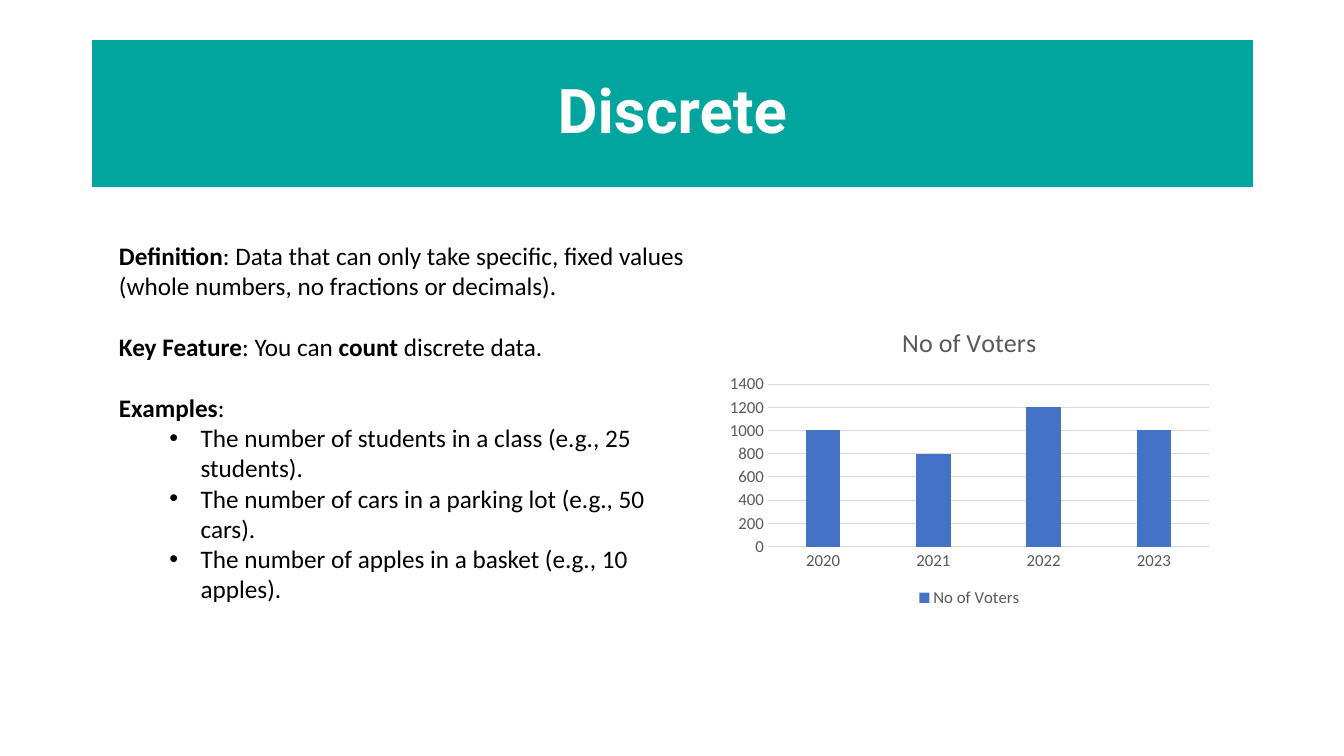
from dataclasses import dataclass

from lxml.etree import SubElement
from pptx import Presentation
from pptx.chart.data import CategoryChartData
from pptx.dml.color import RGBColor
from pptx.enum.chart import XL_CHART_TYPE, XL_LEGEND_POSITION, XL_TICK_MARK
from pptx.enum.text import MSO_ANCHOR, MSO_AUTO_SIZE, PP_ALIGN
from pptx.oxml.ns import qn
from pptx.util import Emu, Pt

EMU_PER_PX = 9144  # 100 px to the inch

TEAL = RGBColor(0x01, 0xA5, 0x9E)
WHITE = RGBColor(0xFF, 0xFF, 0xFF)
BLACK = RGBColor(0x00, 0x00, 0x00)
BLUE = RGBColor(0x44, 0x72, 0xC4)
GRAY = RGBColor(0x59, 0x59, 0x59)
LIGHT_GRAY = RGBColor(0xD9, 0xD9, 0xD9)

BODY_FONT = "Calibri"
TITLE_FONT = "Roboto"
BULLET_INDENT = 81
BULLET_HANG = 31
SERIES_NAME = "No of Voters"
VOTERS = {"2020": 1000, "2021": 800, "2022": 1200, "2023": 1000}


@dataclass(frozen=True)
class Box:
    left: int
    top: int
    width: int
    height: int

    def emu(self) -> tuple:
        return tuple(px(n) for n in (self.left, self.top, self.width, self.height))


@dataclass(frozen=True)
class Line:
    """A body paragraph; every second piece of its text between ** is bold."""
    text: str
    space_before: int = 0
    bullet: bool = False


TITLE_BOX = Box(92, 40, 1150, 145)
BODY_BOX = Box(108, 233, 598, 374)
CHART_BOX = Box(714, 306, 495, 301)

LINES = [
    Line("**Definition**: Data that can only take specific, fixed values "
         "(whole numbers, no fractions or decimals)."),
    Line("**Key Feature**: You can **count** discrete data.", space_before=22),
    Line("**Examples**:", space_before=22),
    Line("The number of students in a class (e.g., 25 students).", bullet=True),
    Line("The number of cars in a parking lot (e.g., 50 cars).", bullet=True),
    Line("The number of apples in a basket (e.g., 10 apples).", bullet=True),
]


def px(length: int) -> Emu:
    return Emu(length * EMU_PER_PX)


def place(shape, box: Box) -> None:
    shape.left, shape.top, shape.width, shape.height = box.emu()


def style_font(font, name: str, size: float, color: RGBColor, bold: bool = False) -> None:
    font.name = name
    font.size = Pt(size)
    font.color.rgb = color
    font.bold = bold


def set_bullet(para, bullet: bool) -> None:
    properties = para._p.get_or_add_pPr()
    properties.set("marL", str(px(BULLET_INDENT if bullet else 0)))
    properties.set("indent", str(px(-BULLET_HANG if bullet else 0)))
    if bullet:
        SubElement(properties, qn("a:buFont"), typeface="Arial")
        SubElement(properties, qn("a:buChar"), char="•")
    else:
        SubElement(properties, qn("a:buNone"))


def fill_title(title) -> None:
    place(title, TITLE_BOX)
    title.fill.solid()
    title.fill.fore_color.rgb = TEAL
    title.line.color.rgb = TEAL
    title.line.width = Pt(1)
    frame = title.text_frame
    frame.text = "Discrete"
    frame.vertical_anchor = MSO_ANCHOR.MIDDLE
    para = frame.paragraphs[0]
    para.alignment = PP_ALIGN.CENTER
    para.line_spacing = 0.9
    style_font(para.runs[0].font, TITLE_FONT, 44, WHITE, bold=True)


def fill_body(body) -> None:
    place(body, BODY_BOX)
    frame = body.text_frame
    frame.word_wrap = True
    frame.auto_size = MSO_AUTO_SIZE.SHAPE_TO_FIT_TEXT
    frame.vertical_anchor = MSO_ANCHOR.TOP
    for number, line in enumerate(LINES):
        para = frame.add_paragraph() if number else frame.paragraphs[0]
        para.level = int(line.bullet)
        para.space_before = Pt(line.space_before)
        set_bullet(para, line.bullet)
        for position, piece in enumerate(line.text.split("**")):
            if piece:
                span = para.add_run()
                span.text = piece
                style_font(span.font, BODY_FONT, 18, BLACK, bold=position % 2 == 1)


def add_voters_chart(slide) -> None:
    data = CategoryChartData()
    data.categories = list(VOTERS)
    data.add_series(SERIES_NAME, list(VOTERS.values()))
    chart = slide.shapes.add_chart(
        XL_CHART_TYPE.COLUMN_CLUSTERED, *CHART_BOX.emu(), data).chart
    style_font(chart.font, BODY_FONT, 10, BLACK)

    chart.has_title = True
    heading = chart.chart_title.text_frame
    heading.text = SERIES_NAME
    style_font(heading.paragraphs[0].runs[0].font, BODY_FONT, 18.6, GRAY)

    chart.has_legend = True
    chart.legend.position = XL_LEGEND_POSITION.BOTTOM
    chart.legend.include_in_layout = False
    style_font(chart.legend.font, BODY_FONT, 12, GRAY)

    for axis in (chart.category_axis, chart.value_axis):
        axis.major_tick_mark = XL_TICK_MARK.NONE
        axis.minor_tick_mark = XL_TICK_MARK.NONE
        style_font(axis.tick_labels.font, BODY_FONT, 12, GRAY)
    chart.value_axis.format.line.fill.background()
    chart.value_axis.has_major_gridlines = True
    for rule in (chart.category_axis, chart.value_axis.major_gridlines):
        rule.format.line.color.rgb = LIGHT_GRAY
        rule.format.line.width = Pt(0.75)

    plot = chart.plots[0]
    plot.vary_by_categories = False
    plot.gap_width = 219
    plot.overlap = -27
    columns = plot.series[0].format.fill
    columns.solid()
    columns.fore_color.rgb = BLUE


def main() -> None:
    deck = Presentation()
    deck.slide_width, deck.slide_height = px(1333), px(750)
    page = deck.slides.add_slide(deck.slide_layouts[1])
    fill_title(page.shapes.title)
    add_voters_chart(page)
    fill_body(page.placeholders[1])
    deck.save("out.pptx")


if __name__ == "__main__":
    main()
